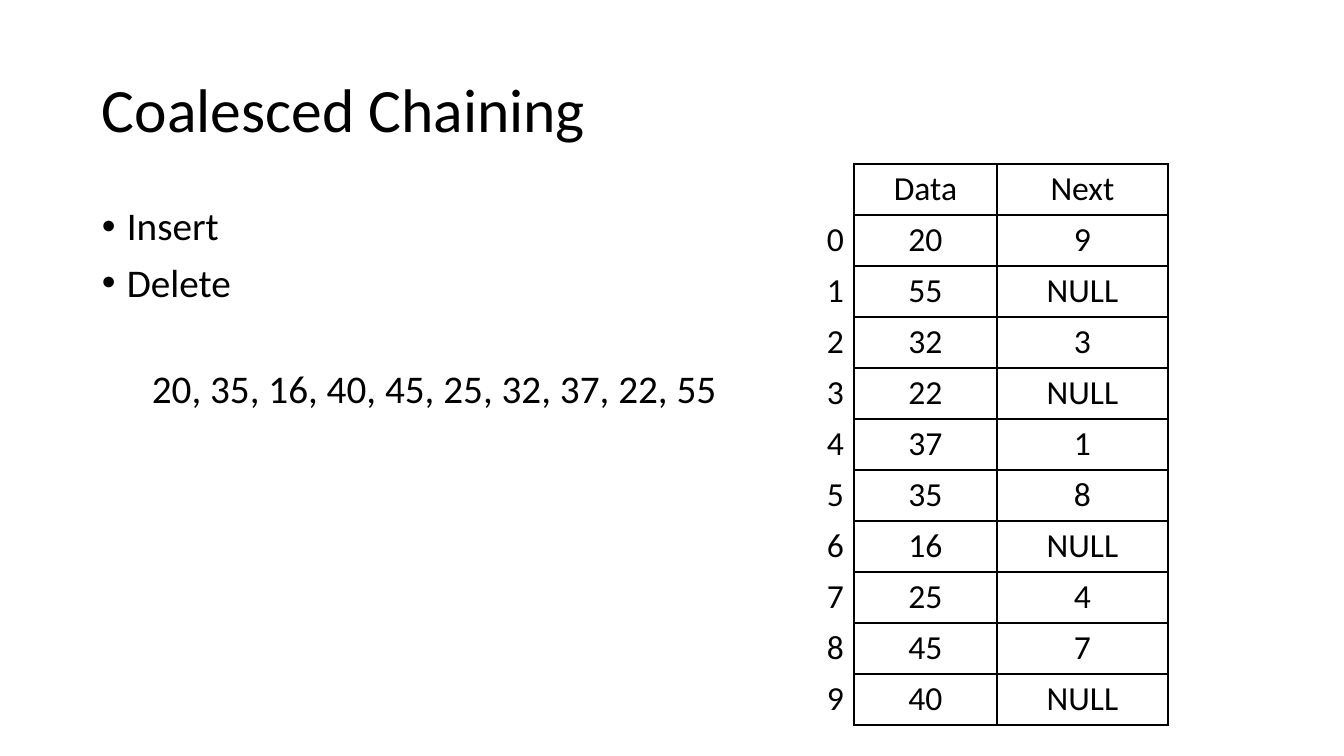
from lxml import etree
from pptx import Presentation
from pptx.dml.color import RGBColor
from pptx.enum.text import MSO_ANCHOR, PP_ALIGN
from pptx.oxml.ns import qn
from pptx.util import Emu, Pt

EMU_PER_PX = 9071.43
NO_STYLE = "{2D5ABB26-0587-4C30-8999-92F81FD0307C}"
BLACK = "000000"


def px(length):
    return Emu(round(length * EMU_PER_PX))


def color(hex_string):
    return RGBColor.from_string(hex_string)


class SlideBuilder:
    font_name = "Calibri"
    ink = BLACK

    def __init__(self, slide):
        self.slide = slide

    def add_text(self, paragraph, text, size, **formats):
        """Fill one paragraph with a styled run."""
        for name, value in formats.items():
            setattr(paragraph, name, value)
        run = paragraph.add_run()
        run.text = text
        run.font.name = self.font_name
        run.font.size = Pt(size)
        run.font.color.rgb = color(self.ink)

    def text_box(self, left, top, width, height, anchor=MSO_ANCHOR.TOP):
        frame = self.slide.shapes.add_textbox(
            px(left), px(top), px(width), px(height)).text_frame
        frame.word_wrap = True
        frame.vertical_anchor = anchor
        return frame

    def indent(self, paragraph, margin, hanging=0, bullet=None):
        properties = paragraph._p.get_or_add_pPr()
        properties.set("marL", str(px(margin)))
        properties.set("indent", str(px(-hanging)))
        if bullet:
            etree.SubElement(properties, qn("a:buFont")).set("typeface", "Arial")
            etree.SubElement(properties, qn("a:buChar")).set("char", bullet)

    def border(self, cell, sides, width=1):
        """Draw the named sides; the rest stay without a line."""
        properties = cell._tc.get_or_add_tcPr()
        for side in "LRTB":
            line = etree.SubElement(properties, qn(f"a:ln{side}"))
            if side in sides:
                line.set("w", str(Pt(width)))
                fill = etree.SubElement(line, qn("a:solidFill"))
                etree.SubElement(fill, qn("a:srgbClr")).set("val", self.ink)
            else:
                etree.SubElement(line, qn("a:noFill"))

    def hash_table(self, left, top, widths, row_height, rows, size):
        table = self.slide.shapes.add_table(
            len(rows), len(widths), px(left), px(top),
            px(sum(widths)), px(row_height * len(rows))).table
        table.first_row = table.horz_banding = False
        table._tbl.tblPr.find(qn("a:tableStyleId")).text = NO_STYLE
        for column, width in zip(table.columns, widths):
            column.width = px(width)
        for row_number, values in enumerate(rows):
            table.rows[row_number].height = px(row_height)
            for column_number, value in enumerate(values):
                is_index = column_number == 0
                cell = table.cell(row_number, column_number)
                self.border(cell, "R" if is_index else "LRTB")
                cell.fill.background()
                if value != "":
                    self.add_text(cell.text_frame.paragraphs[0], str(value), size,
                                  alignment=PP_ALIGN.RIGHT if is_index else PP_ALIGN.CENTER)


def main():
    presentation = Presentation()
    presentation.slide_width, presentation.slide_height = px(1344), px(756)
    builder = SlideBuilder(
        presentation.slides.add_slide(presentation.slide_layouts[6]))

    # Title
    title = builder.text_box(92, 40, 1159, 146, MSO_ANCHOR.MIDDLE)
    builder.add_text(title.paragraphs[0], "Coalesced Chaining", 44, line_spacing=0.9)

    # Operations and the keys to insert
    operations = builder.text_box(92, 202, 654, 480)
    body_style = {"alignment": PP_ALIGN.JUSTIFY, "line_spacing": 0.9}
    insert = operations.paragraphs[0]
    builder.indent(insert, 25, 25, "•")
    builder.add_text(insert, "Insert", 28, **body_style)
    delete = operations.add_paragraph()
    builder.indent(delete, 25, 25, "•")
    builder.add_text(delete, "Delete", 28, space_before=Pt(10), **body_style)
    keys = operations.add_paragraph()
    builder.indent(keys, 50)
    builder.add_text(keys, "20, 35, 16, 40, 45, 25, 32, 37, 22, 55", 28,
                     space_before=Pt(46), **body_style)

    # Hash table: slot index, stored key, next slot in the chain
    slots = [(20, 9), (55, "NULL"), (32, 3), (22, "NULL"), (37, 1),
             (35, 8), (16, "NULL"), (25, 4), (45, 7), (40, "NULL")]
    rows = [("", "Data", "Next")]
    rows += [(index, *slot) for index, slot in enumerate(slots)]
    builder.hash_table(781, 164, [73, 143, 171], 51, rows, 24)

    presentation.save("out.pptx")


if __name__ == "__main__":
    main()
